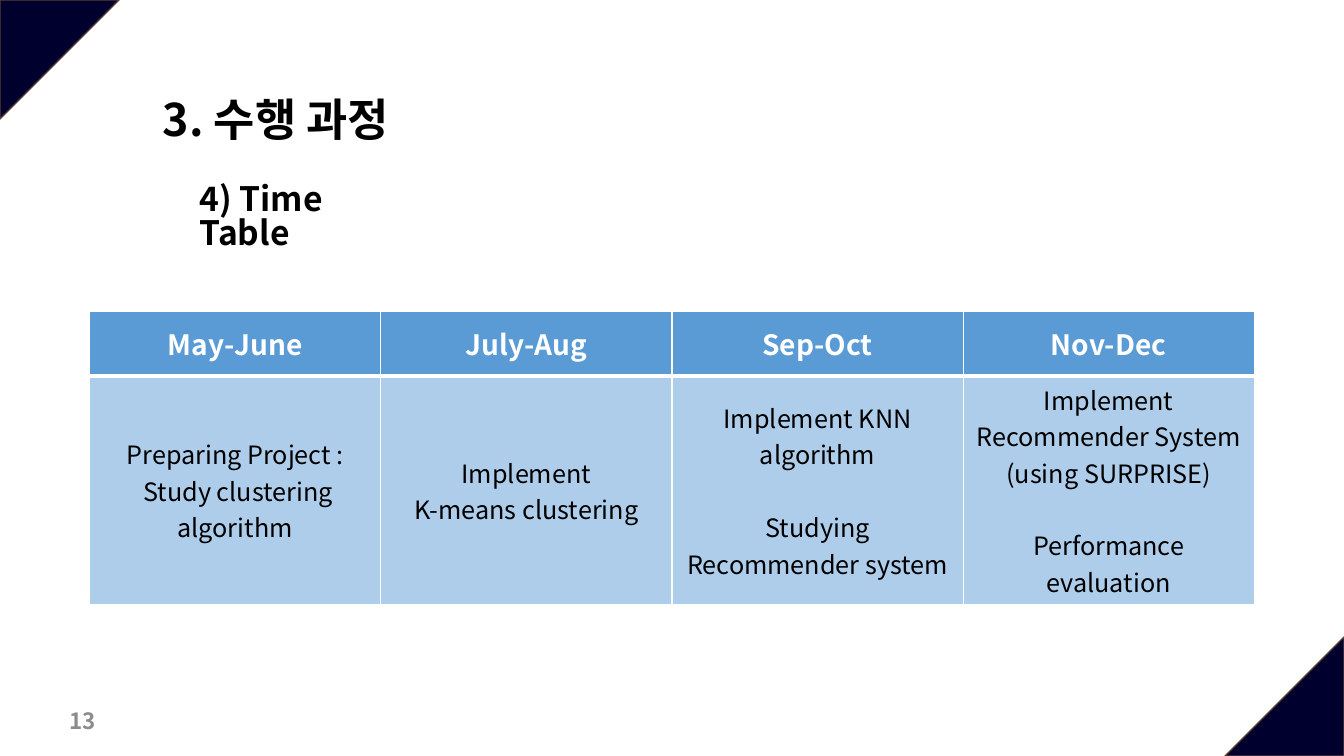
"""Build the project time table slide."""
import dataclasses

import lxml.etree
import pptx
import pptx.dml.color
import pptx.enum.shapes
import pptx.enum.text
import pptx.oxml.ns
import pptx.util

Pt = pptx.util.Pt
qn = pptx.oxml.ns.qn
Anchor = pptx.enum.text.MSO_ANCHOR
Align = pptx.enum.text.PP_ALIGN


@dataclasses.dataclass
class Theme:
    font: str = "Noto Sans CJK KR"
    black: str = "000000"
    white: str = "FFFFFF"
    gray: str = "8C8C8C"
    navy: str = "00002F"
    brown: str = "5B3F33"
    header_blue: str = "5B9BD5"
    body_blue: str = "AECDEA"
    title_size: int = 32
    subtitle_size: int = 24
    header_size: int = 20
    body_size: int = 18
    number_size: int = 16


theme = Theme()


def color(value):
    return pptx.dml.color.RGBColor.from_string(value)


def style(frame, size, value, bold, align, spacing=1.0):
    for para in frame.paragraphs:
        para.alignment = align
        para.line_spacing = spacing
        for span in para.runs:
            span.font.name = theme.font
            span.font.size = Pt(size)
            span.font.bold = bold
            span.font.color.rgb = color(value)
            east_asian = lxml.etree.SubElement(span.font._element, qn("a:ea"))
            east_asian.set("typeface", theme.font)


deck = pptx.Presentation()
deck.slide_width, deck.slide_height = Pt(960), Pt(540)
page = deck.slides.add_slide(deck.slide_layouts[5])

corner = 85
for left, top, rotation in [(0, 0, 90), (960 - corner, 540 - corner, 270)]:
    triangle = page.shapes.add_shape(
        pptx.enum.shapes.MSO_SHAPE.ISOSCELES_TRIANGLE,
        Pt(left), Pt(top), Pt(corner), Pt(corner))
    triangle.adjustments[0] = 0
    triangle.rotation = rotation
    triangle.shadow.inherit = False
    triangle.fill.solid()
    triangle.fill.fore_color.rgb = color(theme.navy)
    triangle.line.color.rgb = color(theme.brown)
    triangle.line.width = Pt(1)

schedule = [
    ("May-June", "Preparing Project :\n Study clustering algorithm"),
    ("July-Aug", "Implement\nK-means clustering"),
    ("Sep-Oct", "Implement KNN algorithm\nStudying Recommender system"),
    ("Nov-Dec", "Implement Recommender System\n(using SURPRISE)\nPerformance evaluation"),
]
second_tasks = ("Studying Recommender system", "Performance evaluation")
row_looks = [
    (46, theme.header_blue, theme.header_size, theme.white, True, (1, 3)),
    (152, theme.body_blue, theme.body_size, theme.black, False, (3, 1)),
]
table = page.shapes.add_table(2, 4, Pt(64), Pt(222.5), Pt(832), Pt(198)).table
for column in table.columns:
    column.width = Pt(208)
for row, (height, fill, size, ink, bold, (top_line, bottom_line)) in enumerate(row_looks):
    table.rows[row].height = Pt(height)
    for column, texts in enumerate(schedule):
        cell = table.cell(row, column)
        cell.text_frame.text = texts[row]
        cell.vertical_anchor = Anchor.MIDDLE
        style(cell.text_frame, size, ink, bold, Align.CENTER)
        for para in cell.text_frame.paragraphs:
            if para.text in second_tasks:
                para.space_before = Pt(26)
        borders = [("L", 1), ("R", 1), ("T", top_line), ("B", bottom_line)]
        properties = cell._tc.get_or_add_tcPr()
        for side, width in borders:
            border = lxml.etree.SubElement(properties, qn(f"a:ln{side}"), w=str(Pt(width)))
            paint = lxml.etree.SubElement(border, qn("a:solidFill"))
            lxml.etree.SubElement(paint, qn("a:srgbClr"), val=theme.white)
        cell.fill.solid()
        cell.fill.fore_color.rgb = color(fill)

title = page.shapes.title
subtitle = page.shapes.add_textbox(0, 0, 0, 0)
number = page.shapes.add_textbox(0, 0, 0, 0)
labels = [
    (title, "3. 수행 과정", (109, 66, 194, 46),
     theme.title_size, theme.black, Anchor.TOP, False, 0.9),
    (subtitle, "4) Time Table", (135.5, 128, 165, 36),
     theme.subtitle_size, theme.black, Anchor.TOP, True, 0.85),
    (number, "13", (42.5, 500.5, 216, 29),
     theme.number_size, theme.gray, Anchor.MIDDLE, True, 1.0),
]
for box, text, place, size, ink, anchor, wrap, spacing in labels:
    box.left, box.top, box.width, box.height = map(Pt, place)
    frame = box.text_frame
    frame.text = text
    frame.word_wrap = wrap
    frame.auto_size = pptx.enum.text.MSO_AUTO_SIZE.NONE
    frame.vertical_anchor = anchor
    style(frame, size, ink, True, Align.LEFT, spacing)

deck.save("out.pptx")
